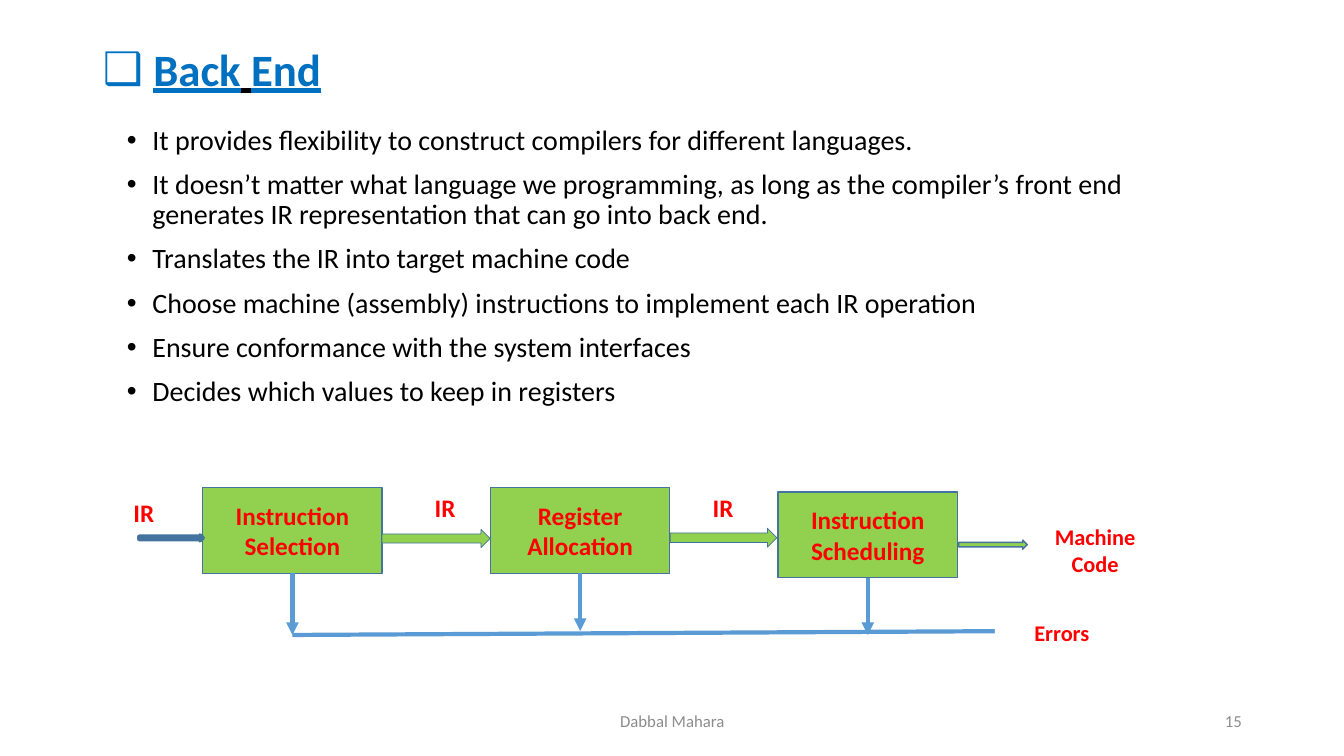
from lxml.etree import SubElement
from pptx import Presentation
from pptx.dml.color import RGBColor
from pptx.enum.shapes import MSO_CONNECTOR, MSO_SHAPE
from pptx.enum.text import MSO_ANCHOR, MSO_AUTO_SIZE, PP_ALIGN
from pptx.oxml.ns import qn
from pptx.util import Cm, Pt

TITLE_BLUE = RGBColor(0x00, 0x70, 0xC0)
BLACK = RGBColor(0x00, 0x00, 0x00)
WHITE = RGBColor(0xFF, 0xFF, 0xFF)
GREY = RGBColor(0x8C, 0x8C, 0x8C)
GREEN = RGBColor(0x92, 0xD0, 0x50)
OUTLINE = RGBColor(0x43, 0x73, 0x9E)
RED = RGBColor(0xFF, 0x00, 0x00)
FLOW_BLUE = RGBColor(0x5B, 0x9B, 0xD5)

STAGE_WIDTH, STAGE_HEIGHT = 4.52, 2.16
STAGE_LEFT, STAGE_PITCH = 5.11, 7.25
ERROR_LINE = 16.0

POINTS = [
    "It provides flexibility to construct compilers for different languages.",
    "It doesn’t matter what language we programming, as long as the compiler’s "
    "front end generates IR representation that can go into back end.",
    "Translates the IR into target machine code",
    "Choose machine (assembly) instructions to implement each IR operation",
    "Ensure conformance with the system interfaces",
    "Decides which values to keep in registers",
]
# text, top, end of the error arrow
STAGES = [
    ("Instruction Selection", 12.29, ERROR_LINE),
    ("Register Allocation", 12.29, 15.9),
    ("Instruction Scheduling", 12.4, ERROR_LINE),
]
# left, top, width, height, line width
BLOCK_ARROWS = [
    (9.63, 13.34, 2.72, 0.46, 0.5),
    (16.89, 13.31, 2.69, 0.48, 0.5),
    (3.51, 13.49, 1.6, 0.13, 3),
    (24.16, 13.61, 1.73, 0.23, 1),
]
# text, left, top, width, height, font size
LABELS = [
    ("IR", 2.95, 12.4, 1.35, 1.02, 18),
    ("IR", 10.54, 12.27, 1.35, 1.02, 18),
    ("IR", 17.55, 12.29, 1.35, 1.02, 18),
    ("Machine Code", 25.91, 13.06, 3.38, 1.63, 16),
]


def set_font(font, size, color, bold=False):
    """Apply the deck's typeface with a size, colour and weight."""
    font.name = "Calibri"
    font.size = Pt(size)
    font.color.rgb = color
    font.bold = bold


def set_bullet(para, char, indent):
    """Give a paragraph a hanging bullet; call before setting its font."""
    props = para._p.get_or_add_pPr()
    props.set("marL", str(Cm(indent)))
    props.set("indent", str(-Cm(indent)))
    SubElement(props, qn("a:buFont"), typeface="Arial")
    SubElement(props, qn("a:buChar"), char=char)
    para.line_spacing = 0.9


def fill_title(title):
    """Place the title and write its underlined heading."""
    title.left, title.top, title.width, title.height = Cm(2.34), Cm(1.02), Cm(29.21), Cm(1.57)
    frame = title.text_frame
    frame.auto_size = MSO_AUTO_SIZE.NONE
    frame.vertical_anchor = MSO_ANCHOR.MIDDLE
    para = frame.paragraphs[0]
    para.alignment = PP_ALIGN.LEFT
    set_bullet(para, "❑", 1.27)
    set_font(para.font, 32, TITLE_BLUE, bold=True)
    para.font.underline = True
    for text in ("Back", " ", "End"):
        span = para.add_run()
        span.text = text
        if text == " ":
            span.font.color.rgb = BLACK
            span.font.bold = False


def add_points(page):
    """Add the bulleted list."""
    box = page.shapes.add_textbox(Cm(2.95), Cm(3.05), Cm(25.81), Cm(6.86))
    frame = box.text_frame
    frame.word_wrap = True
    for index, text in enumerate(POINTS):
        para = frame.add_paragraph() if index else frame.paragraphs[0]
        para.text = text
        set_bullet(para, "•", 0.64)
        para.space_before = Pt(10)
        set_font(para.font, 20, BLACK)


def add_text(page, text, left, top, width, height, size, color, bold=False,
             align=PP_ALIGN.CENTER, anchor=MSO_ANCHOR.MIDDLE):
    """Add a one-paragraph text box and return it."""
    box = page.shapes.add_textbox(Cm(left), Cm(top), Cm(width), Cm(height))
    frame = box.text_frame
    frame.word_wrap = True
    frame.vertical_anchor = anchor
    para = frame.paragraphs[0]
    para.text = text
    para.alignment = align
    set_font(para.font, size, color, bold)
    return box


def add_label(page, *details):
    """Add a red caption on a white ground."""
    box = add_text(page, *details, RED, bold=True, anchor=MSO_ANCHOR.TOP)
    box.fill.solid()
    box.fill.fore_color.rgb = WHITE


def add_block(page, kind, left, top, width, height, line_width):
    """Add a green outlined shape and return it."""
    block = page.shapes.add_shape(kind, Cm(left), Cm(top), Cm(width), Cm(height))
    block.shadow.inherit = False
    block.fill.solid()
    block.fill.fore_color.rgb = GREEN
    block.line.color.rgb = OUTLINE
    block.line.width = Pt(line_width)
    return block


def add_stage(page, text, left, top):
    """Add one compiler stage."""
    stage = add_block(page, MSO_SHAPE.RECTANGLE, left, top, STAGE_WIDTH, STAGE_HEIGHT, 1)
    stage.text_frame.vertical_anchor = MSO_ANCHOR.MIDDLE
    para = stage.text_frame.paragraphs[0]
    para.text = text
    para.alignment = PP_ALIGN.CENTER
    set_font(para.font, 18, RED, bold=True)


def add_arrow(page, start_x, start_y, end_x, end_y):
    """Add a thin arrow of the error flow."""
    arrow = page.shapes.add_connector(
        MSO_CONNECTOR.STRAIGHT, Cm(start_x), Cm(start_y), Cm(end_x), Cm(end_y))
    arrow.line.color.rgb = FLOW_BLUE
    arrow.line.width = Pt(3)
    SubElement(arrow.line._get_or_add_ln(), qn("a:tailEnd"), type="triangle")
    SubElement(arrow._element.spPr, qn("a:effectLst"))


def add_diagram(page):
    """Draw the stages, the flow between them and the error flow."""
    lefts = [STAGE_LEFT + index * STAGE_PITCH for index in range(len(STAGES))]
    for left, (text, top, _) in zip(lefts, STAGES):
        add_stage(page, text, left, top)
    for arrow in BLOCK_ARROWS:
        add_block(page, MSO_SHAPE.RIGHT_ARROW, *arrow)
    for label in LABELS:
        add_label(page, *label)
    for left, (_, top, end) in zip(lefts, STAGES):
        center = left + STAGE_WIDTH / 2
        add_arrow(page, center, top + STAGE_HEIGHT, center, end)
    add_arrow(page, STAGE_LEFT + STAGE_WIDTH / 2, ERROR_LINE, 25.88, 15.9)
    add_label(page, "Errors", 25.07, 15.47, 3.38, 0.94, 16)


def main():
    """Build and save the deck."""
    deck = Presentation()
    deck.slide_width, deck.slide_height = Cm(33.87), Cm(19.05)
    page = deck.slides.add_slide(deck.slide_layouts[5])
    fill_title(page.shapes.title)
    add_points(page)
    add_text(page, "Dabbal Mahara", 11.23, 17.65, 11.43, 1.02, 12, GREY)
    add_text(page, "15", 23.93, 17.65, 7.62, 1.02, 12, GREY, align=PP_ALIGN.RIGHT)
    add_diagram(page)
    deck.save("out.pptx")


main()
